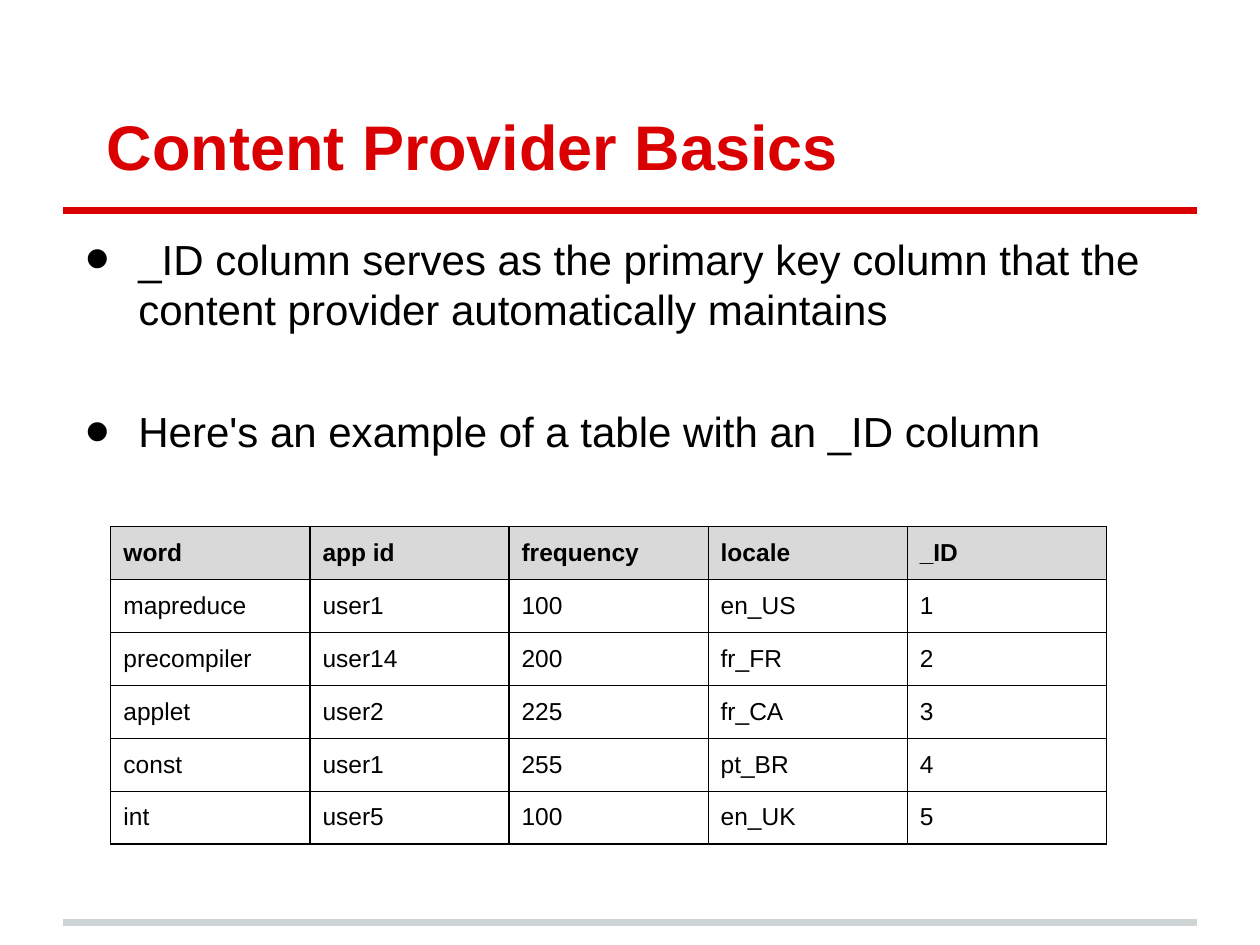
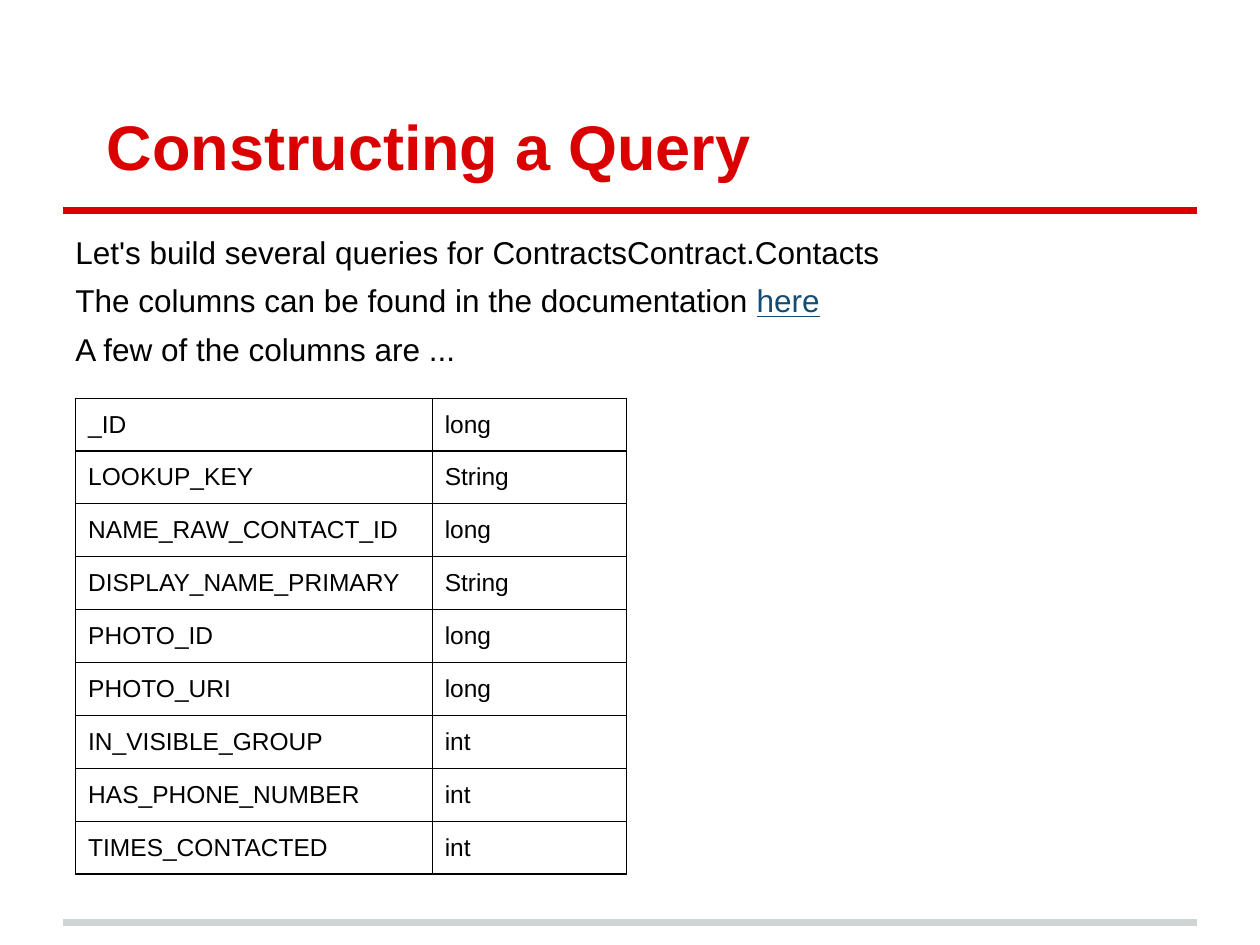
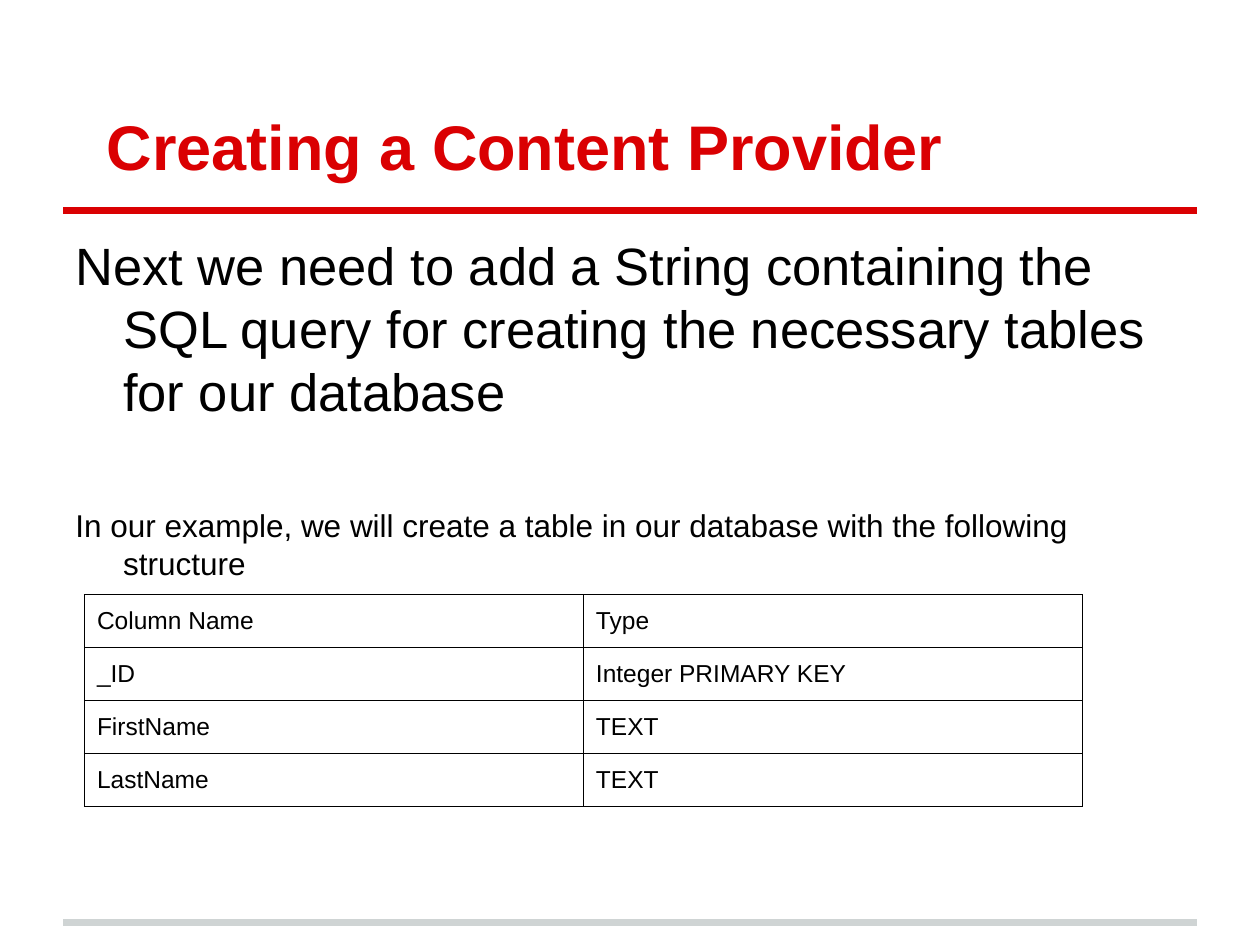
from lxml.etree import SubElement
from pptx import Presentation
from pptx.dml.color import RGBColor
from pptx.enum.shapes import MSO_CONNECTOR as Connector
from pptx.enum.text import MSO_ANCHOR as Anchor
from pptx.oxml.ns import qn
from pptx.util import Inches, Pt

COLORS = {
    "accent": "DA0002",
    "footer": "CFD4D4",
    "text": "000000",
    "link": "144C72",
    "header": "D9D9D9",
}
FONT = "Arial"
ROW_HEIGHT = 0.42
SIDES = ("margin_left", "margin_right", "margin_top", "margin_bottom")
FRAME_MARGINS = dict.fromkeys(SIDES, Inches(0.1))
# A tighter foot lets one line of text fit the row height
CELL_MARGINS = {**FRAME_MARGINS, "margin_bottom": Inches(0.08)}


def color(name):
    return RGBColor.from_string(COLORS[name])


def set_all(target, values):
    for name, value in values.items():
        setattr(target, name, value)


# Text
def add_span(para, text, size, tint="text", **formats):
    span = para.add_run()
    span.text = text
    set_all(span.font, {"name": FONT, "size": Pt(size), **formats})
    span.font.color.rgb = color(tint)


def set_indent(para, left, first):
    props = para._p.get_or_add_pPr()
    props.set("marL", str(Inches(left)))
    props.set("indent", str(Inches(first)))
    return props


def add_bullet(props):
    tint = SubElement(props, qn("a:buClr"))
    SubElement(tint, qn("a:srgbClr"), val=COLORS["text"])
    SubElement(props, qn("a:buSzPct"), val="167000")
    SubElement(props, qn("a:buFont"), typeface=FONT)
    SubElement(props, qn("a:buChar"), char="•")


def add_frame(page, top, height, anchor):
    box = page.shapes.add_textbox(Inches(0.5), Inches(top), Inches(9), Inches(height))
    frame = box.text_frame
    set_all(frame, {"word_wrap": True, "vertical_anchor": anchor, **FRAME_MARGINS})
    return frame


def add_title(page, text):
    para = add_frame(page, 0.3, 1.25, Anchor.BOTTOM).paragraphs[0]
    set_indent(para, 0, 0.25)
    add_span(para, text, 36, "accent", bold=True)


def add_body(page, paragraphs, bullets=False):
    """Each paragraph is (text, size, space before in points)."""
    frame = add_frame(page, 1.75, 5.43, Anchor.TOP)
    for index, (text, size, before) in enumerate(paragraphs):
        para = frame.add_paragraph() if index else frame.paragraphs[0]
        para.space_before = Pt(before)
        if bullets:
            add_bullet(set_indent(para, 0.5, -0.42))
        else:
            set_indent(para, 0.38, -0.38)
        add_span(para, text, size)
    return frame


# Rules
def add_rule(page, y, tint):
    rule = page.shapes.add_connector(
        Connector.STRAIGHT, Inches(0.5), Inches(y), Inches(9.5), Inches(y))
    rule.line.width = Pt(4)
    rule.line.color.rgb = color(tint)
    SubElement(rule._element.spPr, qn("a:effectLst"))


# Tables
def add_borders(cell):
    props = cell._tc.get_or_add_tcPr()
    for position, side in enumerate(("a:lnL", "a:lnR", "a:lnT", "a:lnB")):
        border = SubElement(props, qn(side), w=str(Pt(0.75)))
        fill = SubElement(border, qn("a:solidFill"))
        SubElement(fill, qn("a:srgbClr"), val=COLORS["text"])
        props.insert(position, border)


def add_grid(page, left, top, widths, rows, header=False):
    grid = page.shapes.add_table(
        len(rows), len(widths), Inches(left), Inches(top),
        Inches(sum(widths)), Inches(ROW_HEIGHT * len(rows))).table
    set_all(grid, {"first_row": False, "horz_banding": False})
    for column, width in zip(grid.columns, widths):
        column.width = Inches(width)
    for row_index, row in enumerate(rows):
        grid.rows[row_index].height = Inches(ROW_HEIGHT)
        is_header = header and row_index == 0
        for column_index, text in enumerate(row):
            cell = grid.cell(row_index, column_index)
            set_all(cell, CELL_MARGINS)
            if is_header:
                cell.fill.solid()
                cell.fill.fore_color.rgb = color("header")
            else:
                cell.fill.background()
            add_borders(cell)
            add_span(cell.text_frame.paragraphs[0], text, 14, bold=is_header)


# Slides
def add_page(deck, title):
    page = deck.slides.add_slide(deck.slide_layouts[6])
    add_rule(page, 7.32, "footer")
    add_rule(page, 1.67, "accent")
    add_title(page, title)
    return page


def add_basics(deck):
    page = add_page(deck, "Content Provider Basics")
    add_body(page, [
        ("_ID column serves as the primary key column that the "
         "content provider automatically maintains", 24, 6),
        ("Here's an example of a table with an _ID column", 24, 41),
    ], bullets=True)
    add_grid(page, 0.88, 4.18, [1.58] * 5, [
        ("word", "app id", "frequency", "locale", "_ID"),
        ("mapreduce", "user1", "100", "en_US", "1"),
        ("precompiler", "user14", "200", "fr_FR", "2"),
        ("applet", "user2", "225", "fr_CA", "3"),
        ("const", "user1", "255", "pt_BR", "4"),
        ("int", "user5", "100", "en_UK", "5"),
    ], header=True)


def add_query(deck):
    page = add_page(deck, "Constructing a Query")
    body = add_body(page, [
        ("Let's build several queries for ContractsContract.Contacts", 18, 6),
        ("The columns can be found in the documentation ", 18, 6),
        ("A few of the columns are ...", 18, 6),
    ])
    add_span(body.paragraphs[1], "here", 18, "link", underline=True)
    add_grid(page, 0.6, 3.16, [2.83, 1.54], [
        ("_ID", "long"),
        ("LOOKUP_KEY", "String"),
        ("NAME_RAW_CONTACT_ID", "long"),
        ("DISPLAY_NAME_PRIMARY", "String"),
        ("PHOTO_ID", "long"),
        ("PHOTO_URI", "long"),
        ("IN_VISIBLE_GROUP", "int"),
        ("HAS_PHONE_NUMBER", "int"),
        ("TIMES_CONTACTED", "int"),
    ])


def add_creation(deck):
    page = add_page(deck, "Creating a Content Provider")
    add_body(page, [
        ("Next we need to add a String containing the SQL query for "
         "creating the necessary tables for our database", 30, 6),
        ("In our example, we will create a table in our database with "
         "the following structure", 18, 48),
    ])
    add_grid(page, 0.67, 4.72, [3.96] * 2, [
        ("Column Name", "Type"),
        ("_ID", "Integer PRIMARY KEY"),
        ("FirstName", "TEXT"),
        ("LastName", "TEXT"),
    ])


def main():
    deck = Presentation()
    set_all(deck, {"slide_width": Inches(10), "slide_height": Inches(7.5)})
    add_basics(deck)
    add_query(deck)
    add_creation(deck)
    deck.save("out.pptx")


if __name__ == "__main__":
    main()
